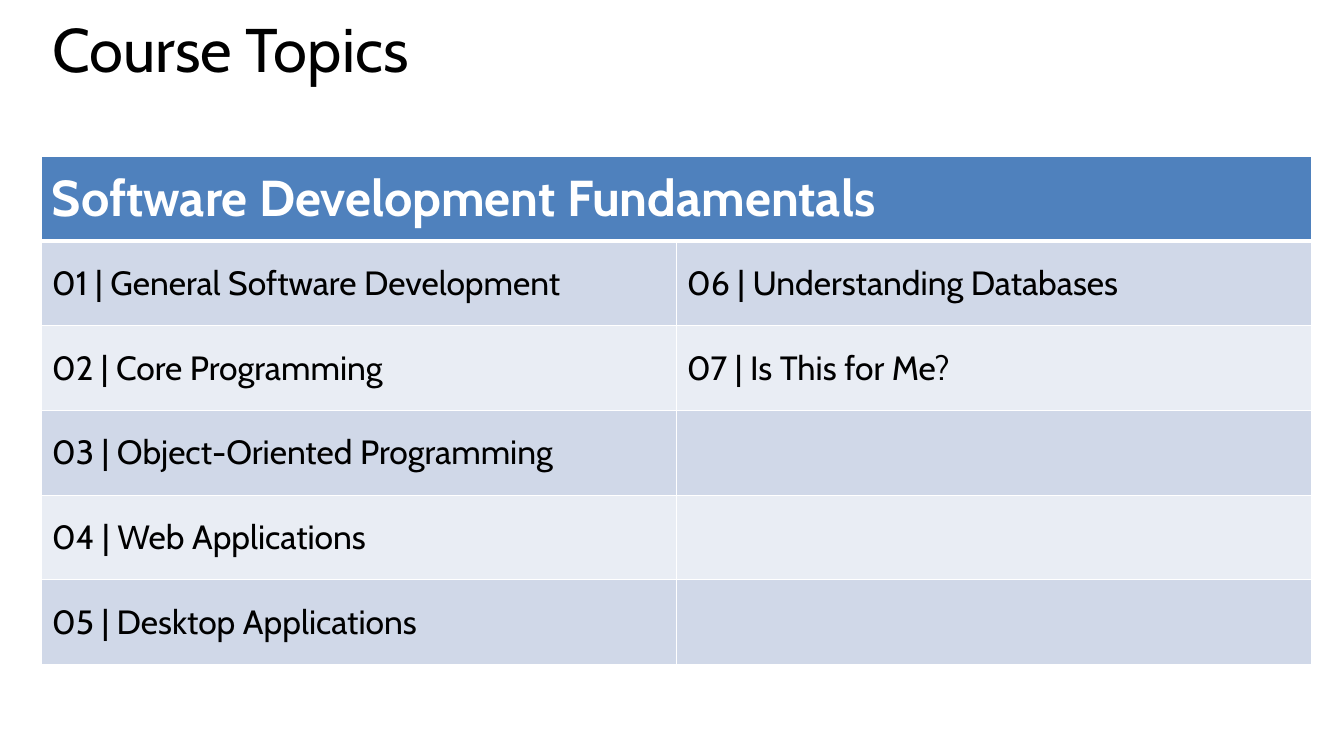
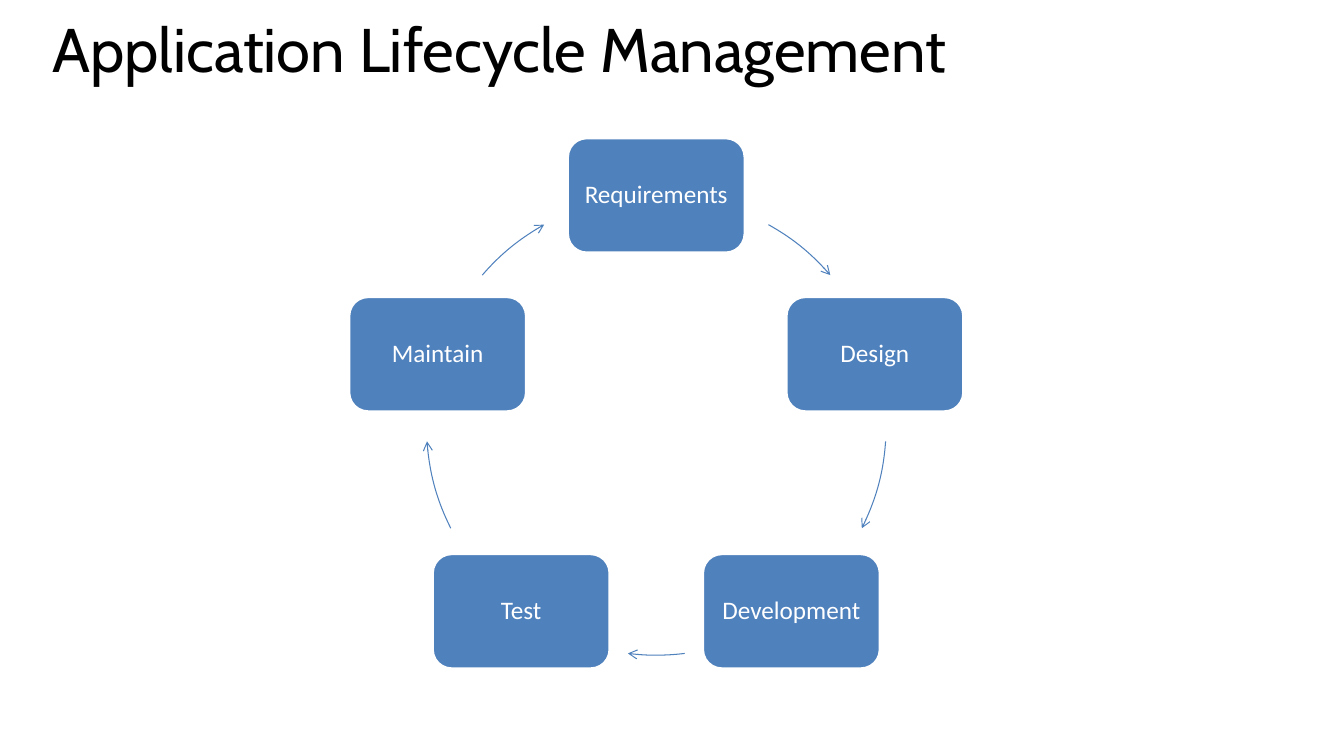
import math
from dataclasses import dataclass

from lxml import etree
from pptx import Presentation
from pptx.dml.color import RGBColor
from pptx.enum import shapes, text
from pptx.oxml import ns
from pptx.util import Pt

BLACK = RGBColor(0x00, 0x00, 0x00)
WHITE = RGBColor(0xFF, 0xFF, 0xFF)
BLUE = RGBColor(0x4F, 0x81, 0xBD)
BAND_DARK = RGBColor(0xD0, 0xD8, 0xE8)
BAND_LIGHT = RGBColor(0xE9, 0xED, 0xF4)
HEADING_FONT = "Cabin"
STAGE_FONT = "Calibri"

ROW_HEIGHT = 60.48
COLUMN_WIDTH = 453.6
CENTER_X, CENTER_Y, RADIUS = 468.8, 303.8, 164.2
STAGE_WIDTH, STAGE_HEIGHT = 126.7, 82.1


@dataclass(frozen=True)
class Stage:
    name: str
    arrow_start: float
    arrow_end: float


TOPICS = [
    ("01 | General Software Development", "06 | Understanding Databases"),
    ("02 | Core Programming", "07 | Is This for Me?"),
    ("03 | Object-Oriented Programming", ""),
    ("04 | Web Applications", ""),
    ("05 | Desktop Applications", ""),
]
STAGES = [
    Stage("Requirements", 299.2, 319.2),
    Stage("Design", 4, 26.6),
    Stage("Development", 82.9, 97.1),
    Stage("Test", 153.4, 176),
    Stage("Maintain", 220.8, 240.8),
]


def format_text(frame, font: str, size: float, color: RGBColor, bold: bool = False) -> None:
    for para in frame.paragraphs:
        for span in para.runs:
            span.font.name = font
            span.font.size = Pt(size)
            span.font.bold = bold
            span.font.color.rgb = color


def add_page(deck, title: str):
    page = deck.slides.add_slide(deck.slide_layouts[5])
    box = page.shapes.title
    box.left, box.top, box.width, box.height = Pt(30), Pt(14.4), Pt(907.2), Pt(83.5)
    frame = box.text_frame
    frame.text = title
    frame.auto_size = text.MSO_AUTO_SIZE.NONE
    frame.vertical_anchor = text.MSO_ANCHOR.TOP
    frame.paragraphs[0].alignment = text.PP_ALIGN.LEFT
    frame.paragraphs[0].line_spacing = 0.8
    format_text(frame, HEADING_FONT, 44, BLACK)
    return page


def add_borders(cell, bottom: float = 1, top: float = 1) -> None:
    properties = cell._tc.get_or_add_tcPr()
    for side, width in (("L", 1), ("R", 1), ("T", top), ("B", bottom)):
        line = etree.SubElement(properties, ns.qn(f"a:ln{side}"), w=str(Pt(width)))
        fill = etree.SubElement(line, ns.qn("a:solidFill"))
        etree.SubElement(fill, ns.qn("a:srgbClr"), val=str(WHITE))


def fill_cell(cell, label: str, size: float, color: RGBColor, fill: RGBColor, bold: bool = False) -> None:
    cell.text_frame.text = label
    cell.vertical_anchor = text.MSO_ANCHOR.MIDDLE
    cell.fill.solid()
    cell.fill.fore_color.rgb = fill
    format_text(cell.text_frame, HEADING_FONT, size, color, bold)


def add_topic_table(page, heading: str, topics: list[tuple[str, str]]) -> None:
    rows = len(topics) + 1
    table = page.shapes.add_table(
        rows, 2, Pt(29.8), Pt(111.8), Pt(2 * COLUMN_WIDTH), Pt(rows * ROW_HEIGHT)
    ).table
    for row in table.rows:
        row.height = Pt(ROW_HEIGHT)
    header = table.cell(0, 0)
    header.merge(table.cell(0, 1))
    for column in range(2):
        add_borders(table.cell(0, column), bottom=3)
    fill_cell(header, heading, 36, WHITE, BLUE, bold=True)
    for index, labels in enumerate(topics, start=1):
        band = BAND_DARK if index % 2 else BAND_LIGHT
        for column, label in enumerate(labels):
            cell = table.cell(index, column)
            add_borders(cell, top=3 if index == 1 else 1)
            fill_cell(cell, label, 24, BLACK, band)


def add_stage(page, stage: Stage, angle: float) -> None:
    center_x = CENTER_X + RADIUS * math.cos(math.radians(angle))
    center_y = CENTER_Y + RADIUS * math.sin(math.radians(angle))
    box = page.shapes.add_shape(
        shapes.MSO_SHAPE.ROUNDED_RECTANGLE,
        Pt(center_x - STAGE_WIDTH / 2), Pt(center_y - STAGE_HEIGHT / 2),
        Pt(STAGE_WIDTH), Pt(STAGE_HEIGHT),
    )
    box.shadow.inherit = False
    box.fill.solid()
    box.fill.fore_color.rgb = BLUE
    box.line.color.rgb = WHITE
    box.line.width = Pt(2)
    frame = box.text_frame
    frame.text = stage.name
    frame.word_wrap = True
    frame.vertical_anchor = text.MSO_ANCHOR.MIDDLE
    frame.margin_left = frame.margin_right = Pt(5)
    frame.margin_top = frame.margin_bottom = Pt(5)
    frame.paragraphs[0].alignment = text.PP_ALIGN.CENTER
    frame.paragraphs[0].line_spacing = 0.9
    format_text(frame, STAGE_FONT, 18, WHITE)


def add_cycle_arrow(page, stage: Stage) -> None:
    arrow = page.shapes.add_shape(
        shapes.MSO_SHAPE.ARC,
        Pt(CENTER_X - RADIUS), Pt(CENTER_Y - RADIUS), Pt(2 * RADIUS), Pt(2 * RADIUS),
    )
    arrow.adjustments[0] = stage.arrow_start * 0.6
    arrow.adjustments[1] = stage.arrow_end * 0.6
    arrow.shadow.inherit = False
    arrow.fill.background()
    arrow.line.color.rgb = BLUE
    arrow.line.width = Pt(0.75)
    line = arrow.line._get_or_add_ln()
    etree.SubElement(line, ns.qn("a:tailEnd"), type="arrow")


def main() -> None:
    deck = Presentation()
    deck.slide_width, deck.slide_height = Pt(960), Pt(540)

    topics_page = add_page(deck, "Course Topics")
    add_topic_table(topics_page, "Software Development Fundamentals", TOPICS)

    cycle_page = add_page(deck, "Application Lifecycle Management")
    for index, stage in enumerate(STAGES):
        add_stage(cycle_page, stage, index * 360 / len(STAGES) - 90)
        add_cycle_arrow(cycle_page, stage)

    deck.save("out.pptx")


if __name__ == "__main__":
    main()
